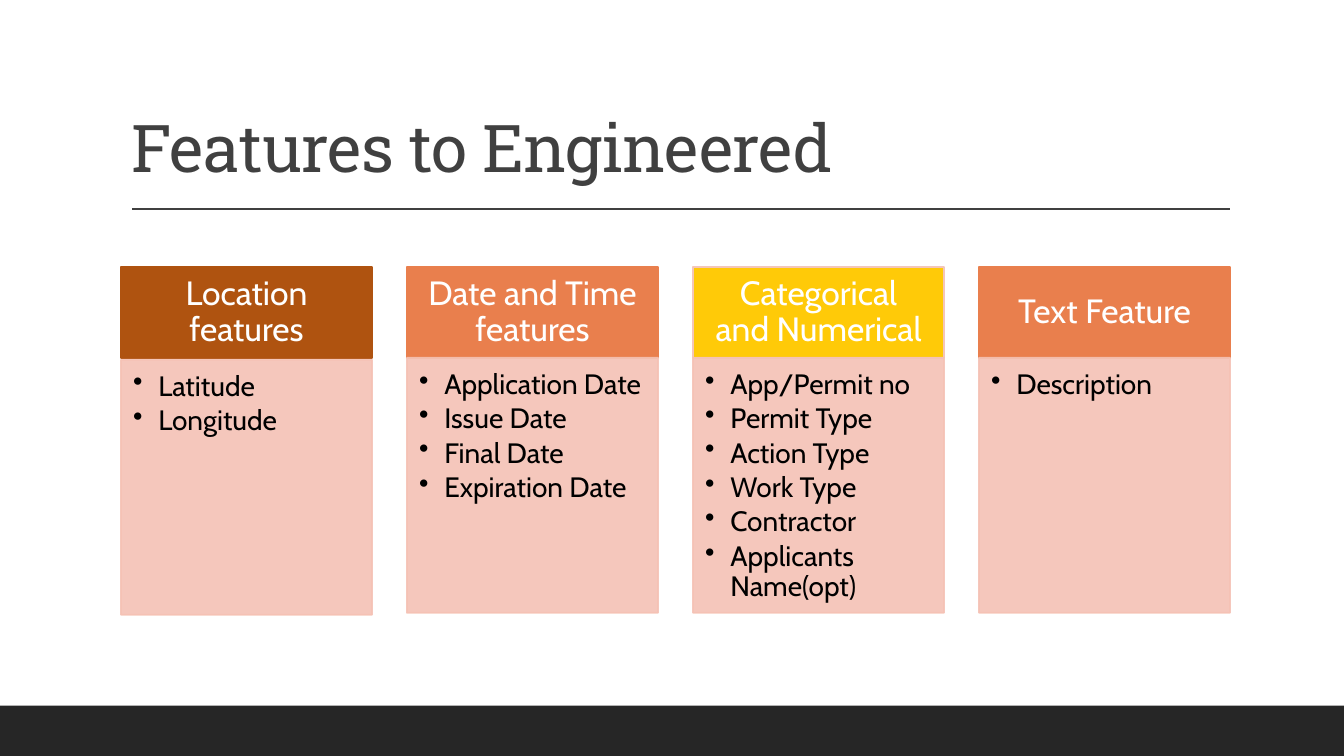
"""Builds the slide listing the features to engineer, in four columns."""
from lxml import etree
from pptx import Presentation
from pptx import util as u
from pptx.dml.color import RGBColor
from pptx.enum import shapes, text
from pptx.oxml import ns

TITLE = "Features to Engineered"
COLUMNS = [
    ("Location features", "brown", "brown", 1.4, ["Latitude", "Longitude"]),
    ("Date and Time features", "orange", "orange", 0,
     ["Application Date", "Issue Date", "Final Date", "Expiration Date"]),
    ("Categorical and Numerical", "yellow", "rose", 0,
     ["App/Permit no", "Permit Type", "Action Type", "Work Type",
      "Contractor", "Applicants Name(opt)"]),
    ("Text Feature", "orange", "orange", 0, ["Description"]),
]
COLORS = {"brown": "AF5310", "orange": "E97F4D", "yellow": "FFCA08",
          "rose": "F4C6B9", "pink": "F5C2B5", "dark": "262626",
          "gray": "404040", "white": "FFFFFF", "black": "000000"}
SLIDE_W, SLIDE_H = 960, 540
LEFT, TOP, COLUMN_W, PITCH = 86.4, 190.8, 179.3, 204.3
HEADER_H, LIST_H, FOOTER_H = 64.8, 182.2, 36
HEADER_INSETS = (13.44, 7.68, 13.44, 7.68)
LIST_INSETS = (8.64, 8.64, 11.52, 12.96)
INDENT = 18


def rgb(color):
    return RGBColor.from_string(COLORS[color])


def set_alpha(fill_parent, percent):
    for tint in fill_parent.iter(ns.qn("a:srgbClr")):
        etree.SubElement(tint, ns.qn("a:alpha"), val=str(percent * 1000))


def add_box(slide, box, fill, line=None):
    rect = slide.shapes.add_shape(shapes.MSO_SHAPE.RECTANGLE, *map(u.Pt, box))
    rect.shadow.inherit = False
    rect.fill.solid()
    rect.fill.fore_color.rgb = rgb(fill)
    if line:
        rect.line.color.rgb = rgb(line)
        rect.line.width = u.Pt(1.25)
    else:
        rect.line.fill.background()
    return rect


def set_frame(frame, insets, anchor):
    frame.word_wrap = True
    frame.vertical_anchor = anchor
    (frame.margin_left, frame.margin_top,
     frame.margin_right, frame.margin_bottom) = map(u.Pt, insets)


def write(paragraph, words, font, size, color, align):
    paragraph.alignment = align
    paragraph.line_spacing = 0.9
    run = paragraph.add_run()
    run.text = words
    run.font.name = font
    run.font.size = u.Pt(size)
    run.font.color.rgb = rgb(color)
    return run


def add_bullet(paragraph):
    paragraph.level = 1
    props = paragraph._p.get_or_add_pPr()
    props.set("marL", str(u.Pt(INDENT)))
    props.set("indent", str(-u.Pt(INDENT)))
    etree.SubElement(props, ns.qn("a:buChar"), char="•")


def add_title(slide):
    title = slide.shapes.title
    title.left, title.top, title.width, title.height = map(
        u.Pt, (LEFT, 22.6, 792, 114.2))
    frame = title.text_frame
    frame.auto_size = text.MSO_AUTO_SIZE.NONE
    frame.vertical_anchor = text.MSO_ANCHOR.BOTTOM
    run = write(frame.paragraphs[0], TITLE, "Roboto Slab", 47, "gray",
                text.PP_ALIGN.LEFT)
    run.font._element.set("spc", "-50")


def add_rule(slide):
    rule = slide.shapes.add_connector(
        shapes.MSO_CONNECTOR.STRAIGHT, *map(u.Pt, (94.4, 149.4, 878.9, 149.4)))
    rule.line.color.rgb = rgb("gray")
    rule.line.width = u.Pt(1)
    etree.SubElement(rule._element.spPr, ns.qn("a:effectLst"))


def add_column(slide, left, heading, fill, line, gap, features):
    header = add_box(slide, (left, TOP, COLUMN_W, HEADER_H), fill, line)
    set_frame(header.text_frame, HEADER_INSETS, text.MSO_ANCHOR.MIDDLE)
    write(header.text_frame.paragraphs[0], heading, "Cabin", 24, "white",
          text.PP_ALIGN.CENTER)

    panel = add_box(slide, (left, TOP + HEADER_H + gap, COLUMN_W, LIST_H),
                    "pink", "pink")
    set_alpha(panel._element.spPr, 90)
    frame = panel.text_frame
    set_frame(frame, LIST_INSETS, text.MSO_ANCHOR.TOP)
    for i, feature in enumerate(features):
        paragraph = frame.add_paragraph() if i else frame.paragraphs[0]
        add_bullet(paragraph)
        write(paragraph, feature, "Cabin", 20, "black", text.PP_ALIGN.LEFT)
        paragraph.space_after = u.Pt(3)


def main():
    deck = Presentation()
    deck.slide_width, deck.slide_height = u.Pt(SLIDE_W), u.Pt(SLIDE_H)
    slide = deck.slides.add_slide(deck.slide_layouts[5])
    add_box(slide, (0, SLIDE_H - FOOTER_H, SLIDE_W, FOOTER_H), "dark")
    add_rule(slide)
    add_title(slide)
    for i, column in enumerate(COLUMNS):
        add_column(slide, LEFT + i * PITCH, *column)
    deck.save("out.pptx")


if __name__ == "__main__":
    main()
